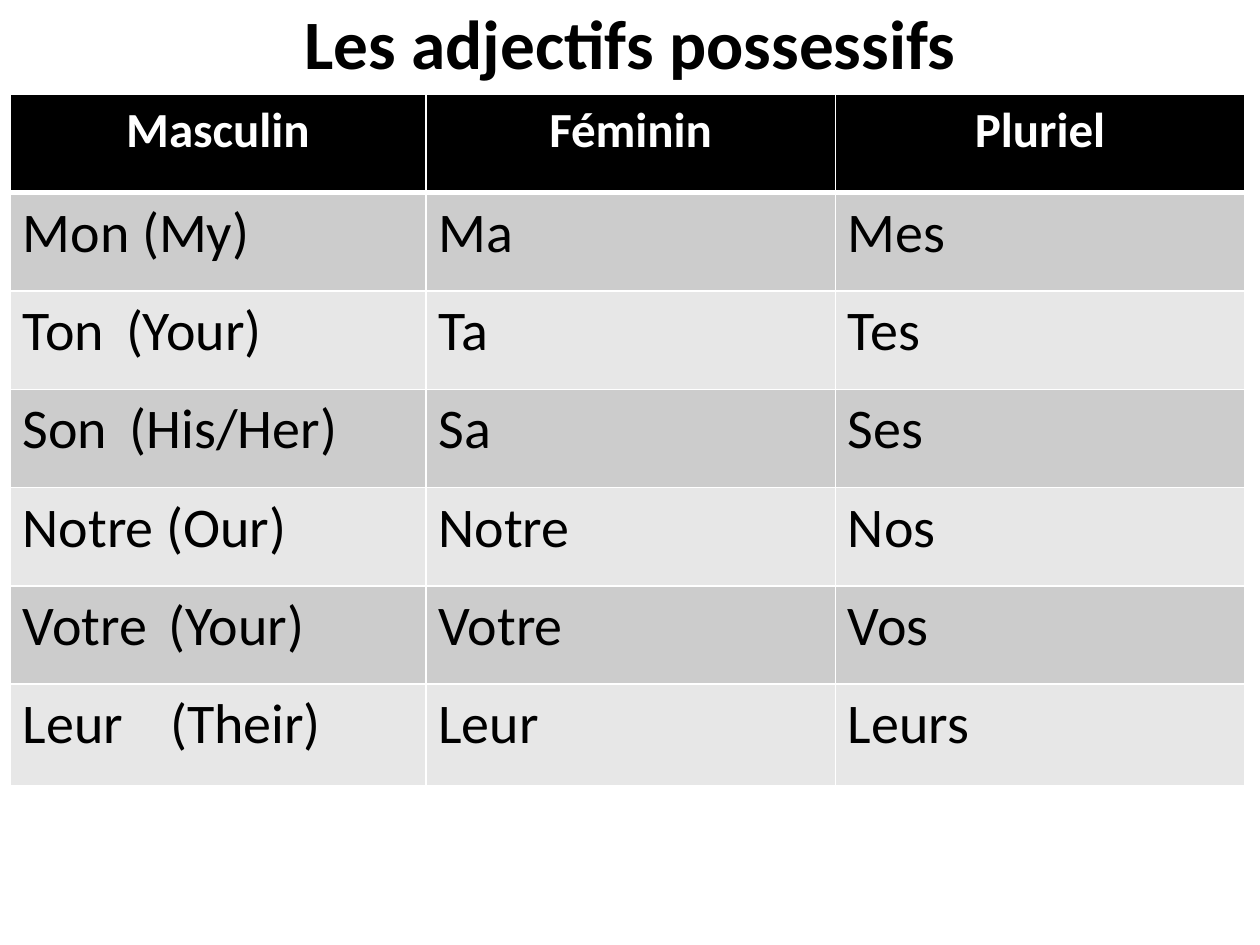
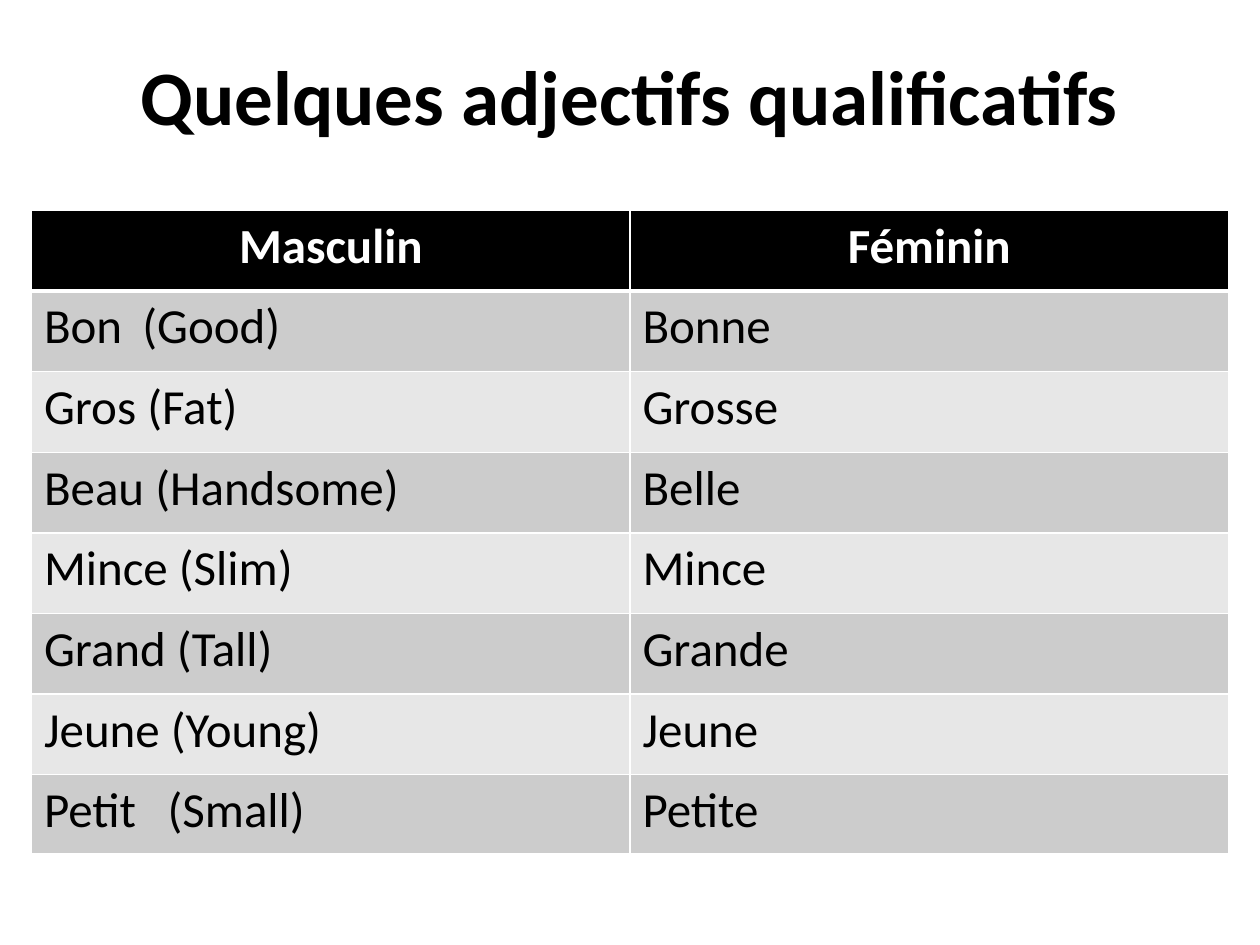
"""Build two slides of French adjective tables."""

import dataclasses
import typing

import lxml.etree
import pptx
import pptx.dml.color
import pptx.enum.text
import pptx.oxml.ns
import pptx.util

EMU_PER_PX = 9144
TITLE_ONLY = 5


@dataclasses.dataclass(frozen=True)
class Theme:
    font: str = "Calibri"
    ink: str = "000000"
    paper: str = "FFFFFF"
    bands: tuple[str, str] = ("CCCCCC", "E7E7E7")
    header_size: float = 28
    border: float = 1
    header_rule: float = 3


class Frame(typing.NamedTuple):
    left: int
    top: int
    width: int
    height: int


@dataclasses.dataclass(frozen=True)
class AdjectivePage:
    title: str
    title_frame: Frame
    title_size: float
    table_left: int
    table_top: int
    columns: list[int]
    row_heights: list[int]
    body_size: float
    rows: list[list[str]]
    gloss_stops: dict[str, int]


THEME = Theme()

PAGES = [
    AdjectivePage(
        title="Les adjectifs possessifs",
        title_frame=Frame(50, 0, 900, 67),
        title_size=39.6,
        table_left=8,
        table_top=75,
        columns=[330, 325, 325],
        row_heights=[78] * 6 + [81],
        body_size=32,
        rows=[
            ["Masculin", "Féminin", "Pluriel"],
            ["Mon (My)", "Ma", "Mes"],
            ["Ton\t(Your)", "Ta", "Tes"],
            ["Son\t(His/Her)", "Sa", "Ses"],
            ["Notre (Our)", "Notre", "Nos"],
            ["Votre\t(Your)", "Votre", "Vos"],
            ["Leur\t(Their)", "Leur", "Leurs"],
        ],
        gloss_stops={"Ton": 82, "Son": 85, "Votre": 116, "Leur": 117},
    ),
    AdjectivePage(
        title="Quelques adjectifs qualificatifs",
        title_frame=Frame(50, 25, 900, 100),
        title_size=44,
        table_left=25,
        table_top=167,
        columns=[475, 475],
        row_heights=[64] * 7 + [63],
        body_size=28,
        rows=[
            ["Masculin", "Féminin"],
            ["Bon\t(Good)", "Bonne"],
            ["Gros (Fat)", "Grosse"],
            ["Beau (Handsome)", "Belle"],
            ["Mince (Slim)", "Mince"],
            ["Grand (Tall)", "Grande"],
            ["Jeune (Young)", "Jeune"],
            ["Petit\t(Small)", "Petite"],
        ],
        gloss_stops={"Bon": 78, "Petit": 98},
    ),
]


def px(length: int) -> pptx.util.Emu:
    """Turn px into EMU."""
    return pptx.util.Emu(length * EMU_PER_PX)


def rgb(color: str) -> pptx.dml.color.RGBColor:
    """Turn a hex string into a colour."""
    return pptx.dml.color.RGBColor.from_string(color)


def write(frame, text: str, *, size: float, color: str = THEME.ink,
          bold: bool = False, centered: bool = False, tab_stop: int | None = None) -> None:
    """Put one formatted paragraph in a text frame."""
    para = frame.paragraphs[0]
    align = pptx.enum.text.PP_ALIGN
    para.alignment = align.CENTER if centered else align.LEFT
    if tab_stop is not None:
        qn = pptx.oxml.ns.qn
        tabs = lxml.etree.SubElement(para._p.get_or_add_pPr(), qn("a:tabLst"))
        lxml.etree.SubElement(tabs, qn("a:tab"), pos=str(px(tab_stop)), algn="l")
    span = para.add_run()
    span.text = text
    span.font.name = THEME.font
    span.font.size = pptx.util.Pt(size)
    span.font.bold = bold
    span.font.color.rgb = rgb(color)


def style_cell(cell, fill: str, top: float, bottom: float) -> None:
    """Give a cell its borders and its fill."""
    qn = pptx.oxml.ns.qn
    properties = cell._tc.get_or_add_tcPr()
    widths = {"L": THEME.border, "R": THEME.border, "T": top, "B": bottom}
    for side, width in widths.items():
        line = lxml.etree.SubElement(properties, qn(f"a:ln{side}"), w=str(pptx.util.Pt(width)))
        solid = lxml.etree.SubElement(line, qn("a:solidFill"))
        lxml.etree.SubElement(solid, qn("a:srgbClr"), val=THEME.paper)
    cell.fill.solid()
    cell.fill.fore_color.rgb = rgb(fill)


def add_title(page, content: AdjectivePage) -> None:
    """Place and fill the title placeholder."""
    title = page.shapes.title
    title.left, title.top, title.width, title.height = map(px, content.title_frame)
    title.text_frame.vertical_anchor = pptx.enum.text.MSO_ANCHOR.MIDDLE
    write(title.text_frame, content.title, size=content.title_size, bold=True, centered=True)


def add_adjective_table(page, content: AdjectivePage) -> None:
    """Draw the table with a dark header and banded rows."""
    table = page.shapes.add_table(
        len(content.rows), len(content.columns),
        px(content.table_left), px(content.table_top),
        px(sum(content.columns)), px(sum(content.row_heights)),
    ).table
    table.horz_banding = False
    for column, width in zip(table.columns, content.columns):
        column.width = px(width)
    for index, (row, height, words) in enumerate(
            zip(table.rows, content.row_heights, content.rows)):
        row.height = px(height)
        header = index == 0
        fill = THEME.ink if header else THEME.bands[(index - 1) % 2]
        top = THEME.header_rule if index == 1 else THEME.border
        bottom = THEME.header_rule if header else THEME.border
        for cell, text in zip(row.cells, words):
            style_cell(cell, fill, top, bottom)
            write(cell.text_frame, text,
                  size=THEME.header_size if header else content.body_size,
                  color=THEME.paper if header else THEME.ink,
                  bold=header, centered=header,
                  tab_stop=content.gloss_stops.get(text.split("\t")[0]) if "\t" in text else None)


def main() -> None:
    """Build and save the deck."""
    deck = pptx.Presentation()
    deck.slide_width, deck.slide_height = px(1000), px(750)
    for content in PAGES:
        page = deck.slides.add_slide(deck.slide_layouts[TITLE_ONLY])
        add_title(page, content)
        add_adjective_table(page, content)
    deck.save("out.pptx")


if __name__ == "__main__":
    main()
